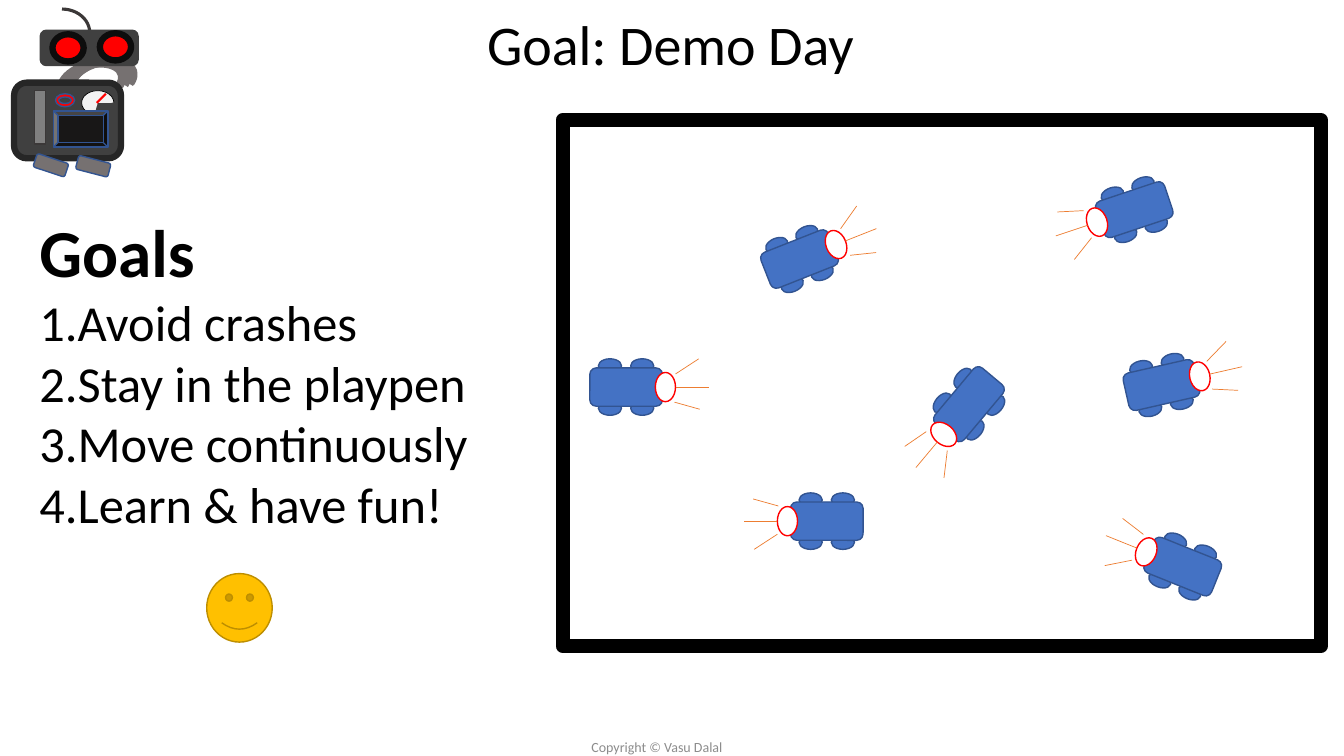
from math import cos, radians, sin
from lxml.etree import SubElement
from pptx import Presentation
from pptx.dml.color import RGBColor
from pptx.enum.shapes import MSO_CONNECTOR, MSO_SHAPE as KIND
from pptx.enum.text import MSO_ANCHOR, PP_ALIGN
from pptx.oxml.ns import qn
from pptx.util import Inches, Pt

BLUE, EDGE, RED, ORANGE = "4472C4", "325491", "FF0000", "ED7D31"
STEEL, COAL, DUSK = "767171", "404040", "3B3838"


def tint(fill, code):
    """Make a fill solid in a hex colour, or clear it when there is none."""
    if code is None:
        fill.background()
    else:
        fill.solid()
        fill.fore_color.rgb = RGBColor.from_string(code)


def draw(home, kind, box, fill, line, width=1, turn=0):
    """Add a filled and outlined preset shape to a group or slide."""
    shape = home.add_shape(kind, *map(Inches, box))
    shape.shadow.inherit = False
    shape.rotation = turn
    tint(shape.fill, fill)
    tint(shape.line.fill, line)
    shape.line.width = Pt(width)
    return shape


deck = Presentation()
deck.slide_width, deck.slide_height = Inches(13.33), Inches(7.5)
slide = deck.slides.add_slide(deck.slide_layouts[1])

# Text: title, goals and copyright
title, goals = slide.placeholders
note = slide.shapes.add_textbox(0, 0, 0, 0)
steps = ["Avoid crashes", "Stay in the playpen", "Move continuously",
         "Learn & have fun!"]
MID, TOP = MSO_ANCHOR.MIDDLE, MSO_ANCHOR.TOP
blocks = [
    (title, (0.9, -0.26, 11.5, 1.45), ["Goal: Demo Day"], 40, "000000", MID),
    (goals, (0.29, 2.04, 4.7, 3.33), ["Goals"] + steps, 36, "000000", TOP),
    (note, (4.51, 7.31, 4.01, 0.19), ["Copyright © Vasu Dalal"], 10, "8C8C8C", MID),
]
for block, box, lines, size, code, anchor in blocks:
    block.left, block.top, block.width, block.height = map(Inches, box)
    frame = block.text_frame
    frame.text = "\n".join(lines)
    frame.word_wrap, frame.vertical_anchor = True, anchor
    for para in frame.paragraphs:
        para.alignment = PP_ALIGN.LEFT if block is goals else PP_ALIGN.CENTER
        font = para.runs[0].font
        for key, value in {"name": "Calibri", "size": Pt(size), "bold": False}.items():
            setattr(font, key, value)
        tint(font.fill, code)
title.text_frame.paragraphs[0].line_spacing = 0.9

for rank, para in enumerate(goals.text_frame.paragraphs):
    para.space_before = Pt(0)
    props = para._p.get_or_add_pPr()
    indent = Inches(0.38) if rank else 0
    props.set("marL", str(indent))
    props.set("indent", str(-indent))
    if rank:
        SubElement(props, qn("a:buAutoNum")).set("type", "arabicPeriod")
    else:
        SubElement(props, qn("a:buNone"))
        para.runs[0].font.size, para.runs[0].font.bold = Pt(48), True

# Playpen with cars: each part is set from the car's centre, then turned
pen = slide.shapes.add_group_shape().shapes
draw(pen, KIND.RECTANGLE, (5.58, 1.19, 7.52, 5.22), "FFFFFF", "000000", 10)
cars = [(6.21, 3.84, 0), (7.93, 2.57, 338.4), (11.25, 2.08, 161.5),
        (9.61, 4.01, 129.9), (8.2, 5.17, 180), (11.73, 5.62, 201.9),
        (11.52, 3.82, 347.2)]
wheels = [(KIND.OVAL, x, y, 0.23, 0.14, BLUE, EDGE)
          for y in (0.21, -0.21) for x in (-0.16, 0.16)]
parts = wheels + [
    (KIND.ROUNDED_RECTANGLE, 0, 0, 0.72, 0.38, BLUE, EDGE),
    (KIND.OVAL, 0.39, 0, 0.2, 0.29, "FFFFFF", RED),
]
rays = [((0.49, -0.13), (0.72, -0.28)), ((0.49, 0), (0.82, 0)),
        ((0.48, 0.15), (0.73, 0.22))]
strokes = []
for left, top, turn in cars:
    c, s = cos(radians(turn)), sin(radians(turn))
    for kind, x, y, wide, high, fill, line in parts:
        box = (left + x * c - y * s - wide / 2,
               top + x * s + y * c - high / 2, wide, high)
        draw(pen, kind, box, fill, line, 1, turn)
    for ray in rays:
        ends = [n for x, y in ray
                for n in (left + x * c - y * s, top + x * s + y * c)]
        strokes.append((pen, ends, ORANGE, 0.5))

draw(slide.shapes, KIND.SMILEY_FACE, (2.05, 5.69, 0.65, 0.68), "FFC000", "BD8E00")

# Robot: neck first, then head, body, dials and feet
robot = slide.shapes.add_group_shape().shapes
for x, y in [(0.71, 0.61), (0.6, 0.64), (0.65, 0.63), (0.7, 0.62)]:
    neck = draw(robot, KIND.ARC, (x, y, 0.62, 0.36), None, STEEL, 6, 344.8)
    neck.adjustments[0] = 158.22 * 0.6
    neck._element.spPr.find(qn("a:xfrm")).set("flipH", "1")
draw(robot, KIND.ARC, (0.34, 0.09, 0.55, 0.47), None, DUSK, 2.25)
draw(robot, KIND.ROUNDED_RECTANGLE, (0.4, 0.3, 0.97, 0.35), COAL, COAL)
for x, y in [(0.52, 0.34), (0.99, 0.33)]:
    draw(robot, KIND.OVAL, (x, y, 0.31, 0.27), RED, "0D0D0D", 4.5)
draw(robot, KIND.ROUNDED_RECTANGLE, (0.14, 0.82, 1.06, 0.75), COAL, "262626", 4.5)
gauge = draw(robot, KIND.ARC, (0.81, 0.9, 0.32, 0.24), "F2F2F2", "000000", 0.5)
gauge.adjustments[0] = 106.56 * 0.6
strokes.append((robot, (0.96, 1.02, 1.05, 0.93), RED, 1.5))
draw(robot, KIND.RECTANGLE, (0.34, 0.9, 0.11, 0.53), "808080", DUSK)
draw(robot, KIND.BEVEL, (0.53, 1.1, 0.54, 0.36), "181717", EDGE)
draw(robot, KIND.DONUT, (0.55, 0.93, 0.19, 0.13), RED, EDGE)
for x, y, turn in [(0.34, 1.57, 18.4), (0.76, 1.58, 14.6)]:
    draw(robot, KIND.ROUNDED_RECTANGLE, (x, y, 0.33, 0.14), STEEL, EDGE, 1, turn)

# Light rays and gauge needle
for home, ends, code, width in strokes:
    stroke = home.add_connector(MSO_CONNECTOR.STRAIGHT, *map(Inches, ends))
    tint(stroke.line.fill, code)
    stroke.line.width = Pt(width)
    SubElement(stroke._element.spPr, qn("a:effectLst"))

deck.save("out.pptx")
